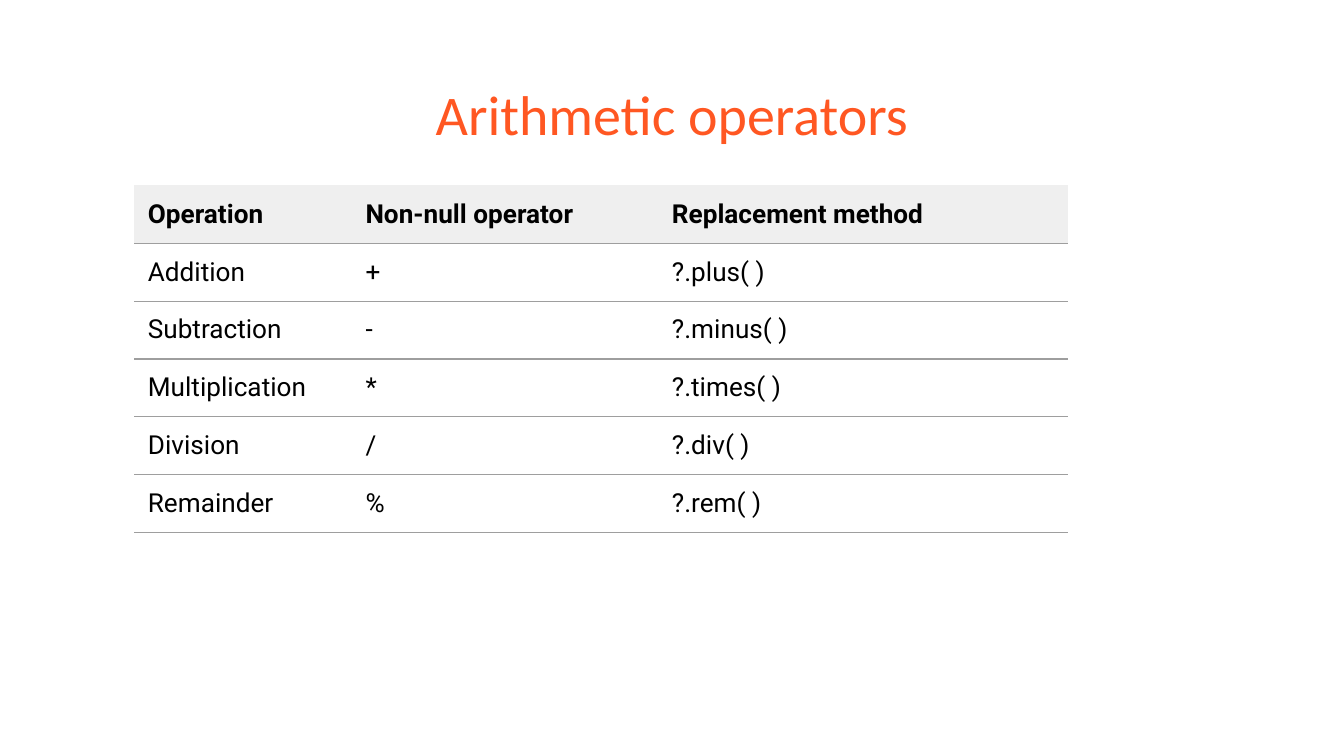
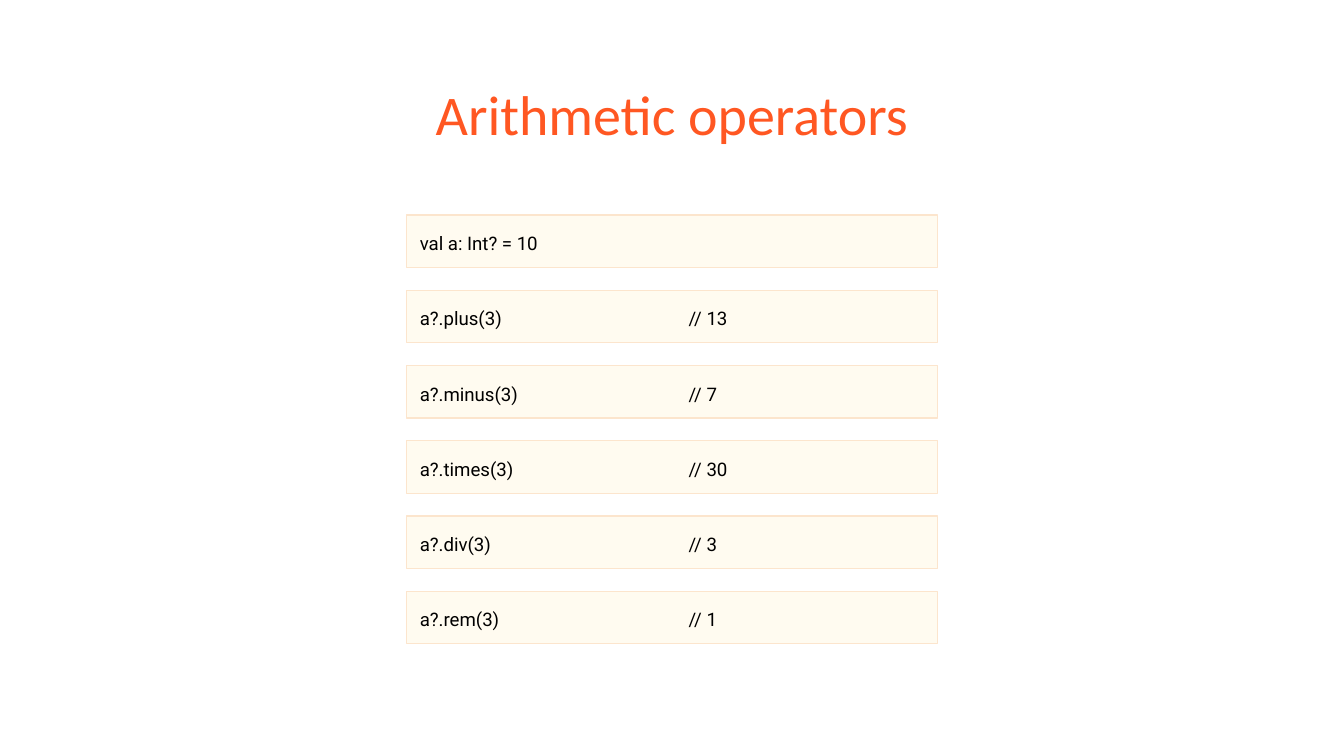
import pptx
import pptx.util
import pptx.dml.color
import pptx.enum.shapes
import pptx.enum.text
from lxml import etree
import pptx.oxml.ns

Inches = pptx.util.Inches
Pt = pptx.util.Pt
RGBColor = pptx.dml.color.RGBColor
qn = pptx.oxml.ns.qn

ORANGE = RGBColor(0xFF, 0x57, 0x22)
BLACK = RGBColor(0, 0, 0)
HEAD = RGBColor(0xEF, 0xEF, 0xEF)
RULE = RGBColor(0x9E, 0x9E, 0x9E)
CREAM = RGBColor(0xFF, 0xFB, 0xF0)
PEACH = RGBColor(0xFC, 0xE5, 0xCD)

TITLE = "Arithmetic operators"
ROWS = [
    ("Operation", "Non-null operator", "Replacement method"),
    ("Addition", "+", "?.plus( )"),
    ("Subtraction", "-", "?.minus( )"),
    ("Multiplication", "*", "?.times( )"),
    ("Division", "/", "?.div( )"),
    ("Remainder", "%", "?.rem( )"),
]
WIDTHS = (1.62, 2.28, 3.05)
ROW_H = 0.42
CODE = [
    "val a: Int? = 10",
    "a?.plus(3)\t\t// 13",
    "a?.minus(3)\t\t// 7",
    "a?.times(3)\t\t// 30",
    "a?.div(3)\t\t// 3",
    "a?.rem(3)\t\t// 1",
]
CODE_TOP, CODE_STEP = 1.6, 0.56
TABS = (1, 2)
WIDE = Inches(10)
NO_STYLE = "{2D5ABB26-0587-4C30-8999-92F81FD0307C}"


def set_text(frame, text, name, size, color, bold=False):
    frame.text = text
    font = frame.paragraphs[0].runs[0].font
    font.name, font.size, font.bold = name, Pt(size), bold
    font.color.rgb = color


def set_pad(box):
    """Give a text frame or table cell equal margins, with text at the top."""
    box.margin_left = box.margin_right = Inches(0.1)
    box.margin_top = box.margin_bottom = Inches(0.1)
    box.vertical_anchor = pptx.enum.text.MSO_ANCHOR.TOP


def set_tabs(para):
    stops = etree.SubElement(para._p.get_or_add_pPr(), qn("a:tabLst"))
    for stop in TABS:
        etree.SubElement(stops, qn("a:tab"), pos=str(Inches(stop)), algn="l")


def add_slide(deck):
    slide = deck.slides.add_slide(deck.slide_layouts[5])
    title = slide.shapes.title
    title.left, title.top = Inches(0.34), Inches(0.49)
    title.width, title.height = Inches(9.32), Inches(0.63)
    frame = title.text_frame
    set_text(frame, TITLE, "Calibri", 30, ORANGE)
    set_pad(frame)
    frame.auto_size = pptx.enum.text.MSO_AUTO_SIZE.NONE
    frame.paragraphs[0].alignment = pptx.enum.text.PP_ALIGN.CENTER
    return slide


def add_rule(cell):
    """Draw the line below a table cell."""
    props = cell._tc.get_or_add_tcPr()
    line = etree.SubElement(props, qn("a:lnB"), w=str(Pt(0.75)))
    fill = etree.SubElement(line, qn("a:solidFill"))
    etree.SubElement(fill, qn("a:srgbClr"), val=str(RULE))


def add_grid(slide):
    frame = slide.shapes.add_table(
        len(ROWS), len(WIDTHS), Inches(1), Inches(1.38),
        Inches(sum(WIDTHS)), Inches(ROW_H * len(ROWS)))
    table = frame.table
    table._tbl.tblPr.find(qn("a:tableStyleId")).text = NO_STYLE
    table.horz_banding = False
    for col, width in zip(table.columns, WIDTHS):
        col.width = Inches(width)
    for r, row in enumerate(ROWS):
        table.rows[r].height = Inches(ROW_H)
        for c, text in enumerate(row):
            cell = table.cell(r, c)
            set_text(cell.text_frame, text, "Roboto", 14, BLACK, r == 0)
            set_pad(cell)
            add_rule(cell)
            if r == 0:
                cell.fill.solid()
                cell.fill.fore_color.rgb = HEAD
            else:
                cell.fill.background()


def add_code(slide, text, top):
    width = Inches(3.95)
    box = slide.shapes.add_shape(
        pptx.enum.shapes.MSO_SHAPE.RECTANGLE,
        (WIDE - width) // 2, Inches(top), width, Inches(0.39))
    box.shadow.inherit = False
    box.fill.solid()
    box.fill.fore_color.rgb = CREAM
    box.line.color.rgb = PEACH
    box.line.width = Pt(0.75)
    frame = box.text_frame
    frame.word_wrap = True
    set_text(frame, text, "Roboto", 10, BLACK)
    set_pad(frame)
    para = frame.paragraphs[0]
    set_tabs(para)
    para.alignment = pptx.enum.text.PP_ALIGN.LEFT
    para.line_spacing = 1.15


def main():
    deck = pptx.Presentation()
    deck.slide_width, deck.slide_height = WIDE, WIDE * 9 // 16
    add_grid(add_slide(deck))
    slide = add_slide(deck)
    for i, text in enumerate(CODE):
        add_code(slide, text, CODE_TOP + i * CODE_STEP)
    deck.save("out.pptx")


if __name__ == "__main__":
    main()
